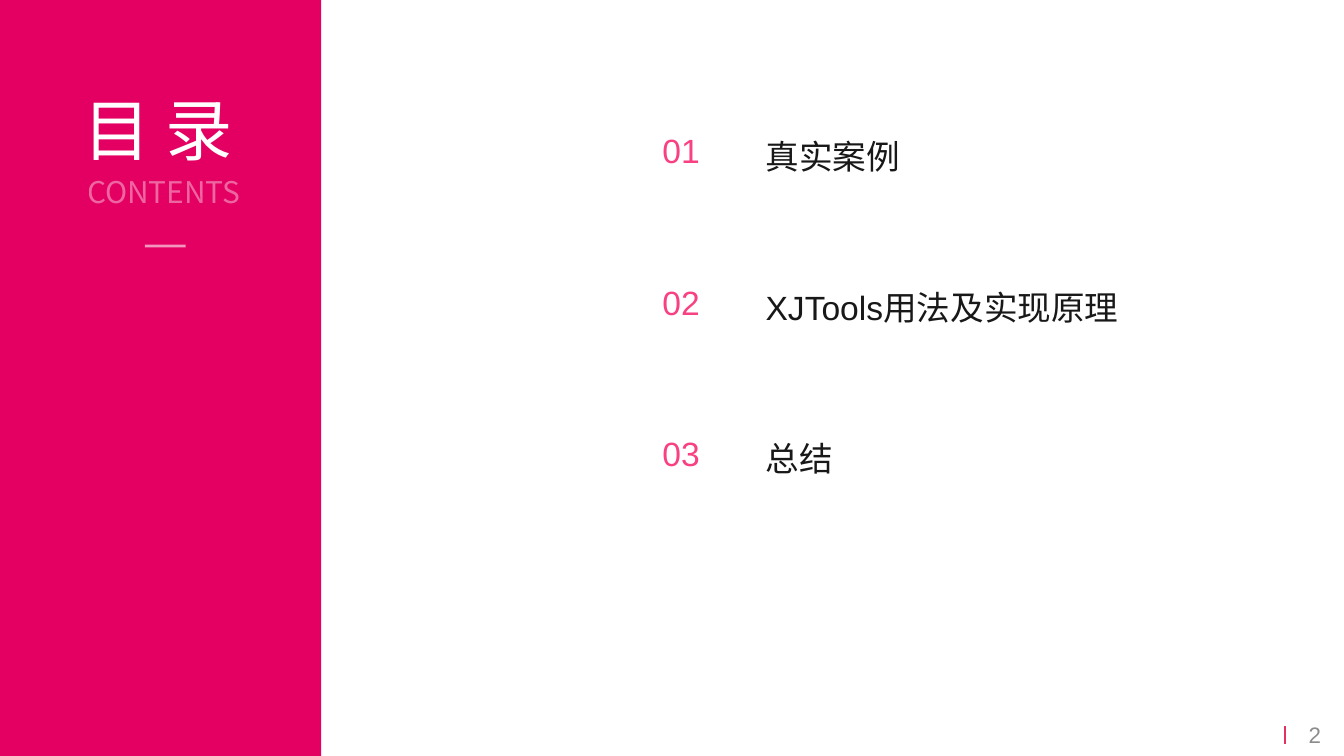
from lxml.etree import SubElement
from pptx import Presentation
from pptx.dml.color import RGBColor
from pptx.enum.shapes import MSO_CONNECTOR, MSO_SHAPE
from pptx.enum.text import MSO_ANCHOR, PP_ALIGN
from pptx.oxml.ns import qn
from pptx.util import Cm, Pt

LATIN = "Arial"
CHINESE = "Noto Sans CJK SC"
WHITE = "FFFFFF"
TOPICS = ["真实案例", "XJTools用法及实现原理", "总结"]
FIRST_TOP = 2.34
TOPIC_STEP = 2.86


def paint(color_format, color, opacity=100):
    """Set a solid colour from a hex string, with opacity in percent."""
    color_format.rgb = RGBColor.from_string(color)


def fade(properties, opacity):
    """Add an opacity in percent to the first solid colour below properties."""
    color = next(properties.iter(qn("a:srgbClr")))
    SubElement(color, qn("a:alpha"), val=str(opacity * 1000))


class ContentsSlide:
    def __init__(self, deck):
        self.slide = deck.slides.add_slide(deck.slide_layouts[6])
        self.shapes = self.slide.shapes

    def panel(self, left, top, width, height, color):
        panel = self.shapes.add_shape(
            MSO_SHAPE.RECTANGLE, Cm(left), Cm(top), Cm(width), Cm(height))
        panel.shadow.inherit = False
        panel.fill.solid()
        paint(panel.fill.fore_color, color)
        panel.line.fill.background()

    def line(self, start, end, color, weight, opacity=100):
        line = self.shapes.add_connector(
            MSO_CONNECTOR.STRAIGHT, *map(Cm, start), *map(Cm, end))
        paint(line.line.color, color)
        line.line.width = Pt(weight)
        properties = line._element.spPr
        if opacity < 100:
            fade(properties, opacity)
        SubElement(properties, qn("a:effectLst"))

    def text(self, words, left, top, width, height, size, color, font=LATIN,
             opacity=100, align=PP_ALIGN.LEFT, anchor=MSO_ANCHOR.TOP):
        box = self.shapes.add_textbox(Cm(left), Cm(top), Cm(width), Cm(height))
        frame = box.text_frame
        frame.word_wrap = True
        frame.vertical_anchor = anchor
        para = frame.paragraphs[0]
        para.alignment = align
        span = para.add_run()
        span.text = words
        span.font.size = Pt(size)
        span.font.name = font
        paint(span.font.color, color)
        properties = span._r.get_or_add_rPr()
        SubElement(properties, qn("a:ea"), typeface=CHINESE)
        if opacity < 100:
            fade(properties, opacity)

    def topic(self, number, title):
        top = FIRST_TOP + (number - 1) * TOPIC_STEP
        self.text(f"{number:02}", 12.27, top, 1.3, 1.02, 18, "F84182")
        self.text(title, 14.22, top + 0.1, 7.24, 1.02, 18, "181818")


def main():
    deck = Presentation()
    deck.slide_width, deck.slide_height = Cm(25.4), Cm(14.29)
    page = ContentsSlide(deck)

    page.panel(0, 0, 6.07, 14.29, "E40063")
    page.text("目 录", 1.32, 1.55, 3.99, 1.8, 36, WHITE, CHINESE)
    page.text("CONTENTS", 1.4, 3.15, 3.6, 0.94, 16, WHITE, CHINESE, opacity=40)
    page.line((2.74, 4.65), (3.51, 4.65), WHITE, 1.5, opacity=58)

    for number, title in enumerate(TOPICS, start=1):
        page.topic(number, title)

    page.line((24.28, 13.72), (24.28, 14.07), "E5315F", 1)
    page.text("2", 24.3, 13.51, 1.1, 0.76, 12, "8C8C8C",
              align=PP_ALIGN.CENTER, anchor=MSO_ANCHOR.MIDDLE)

    deck.save("out.pptx")


if __name__ == "__main__":
    main()
